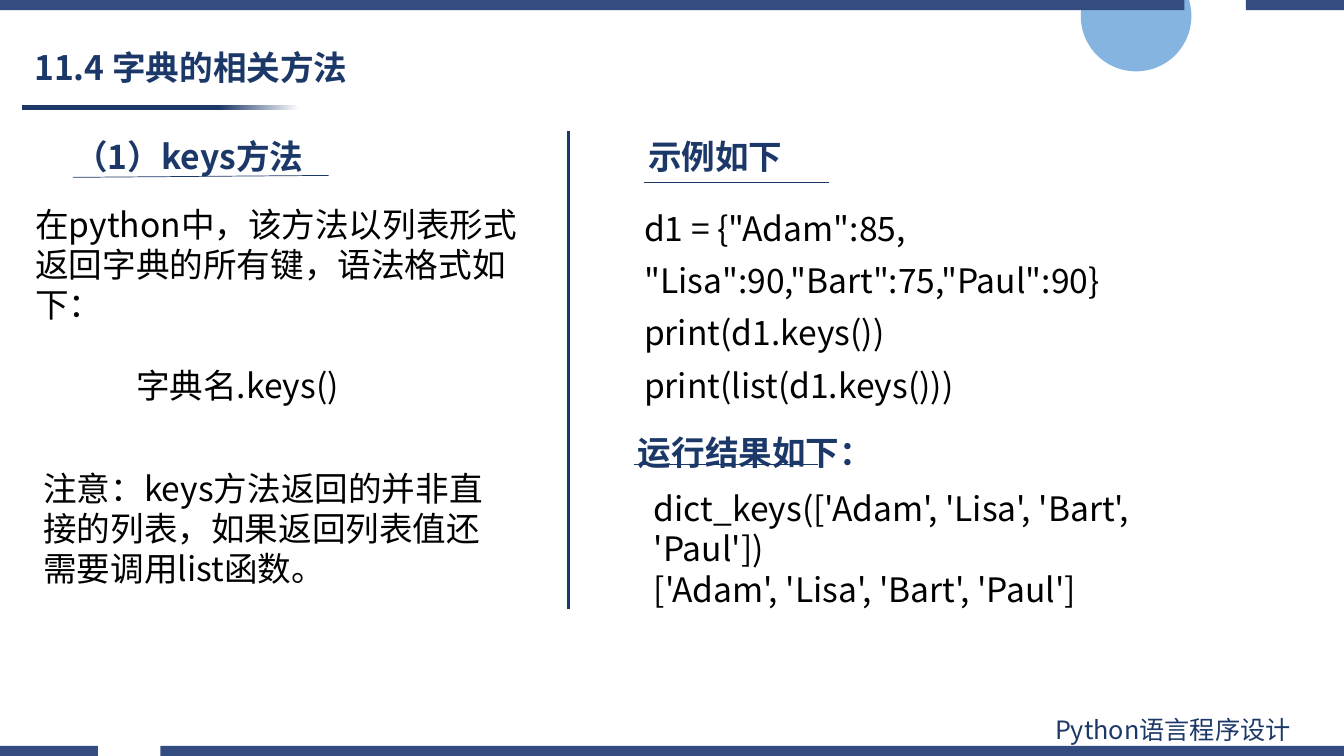
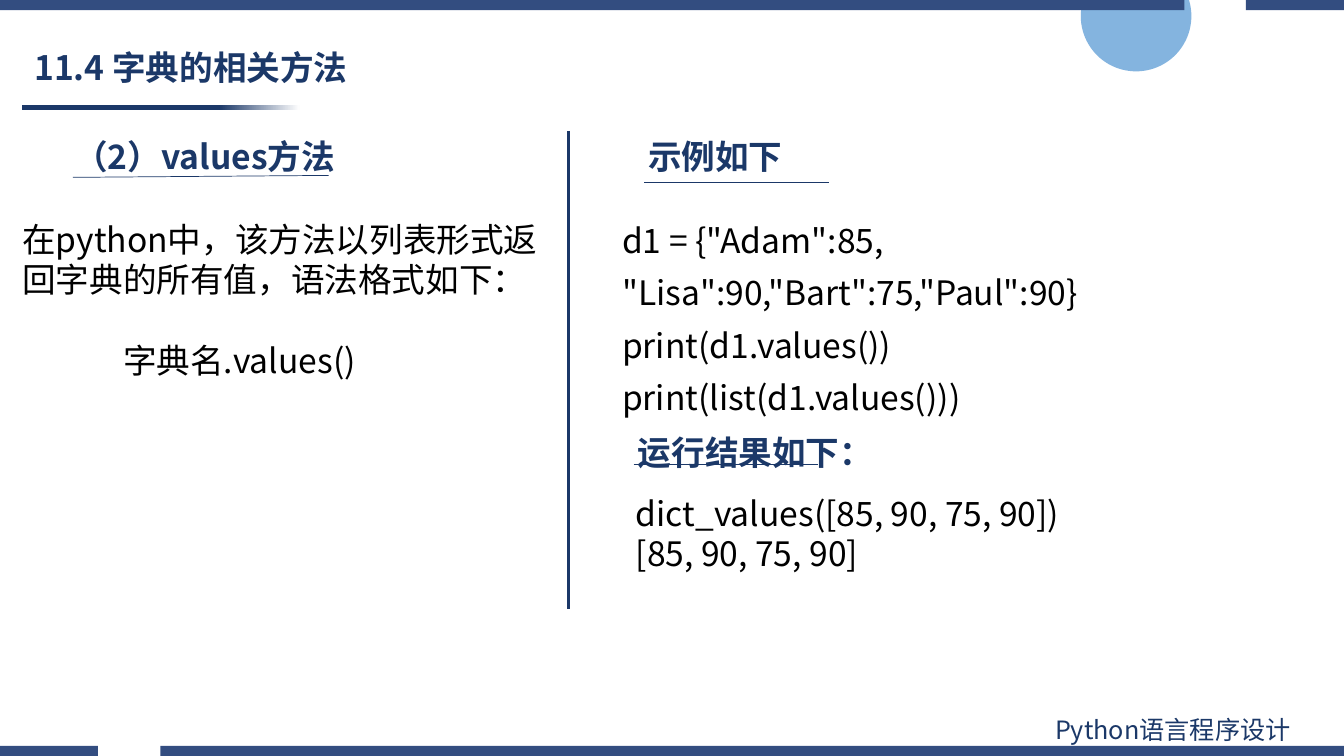
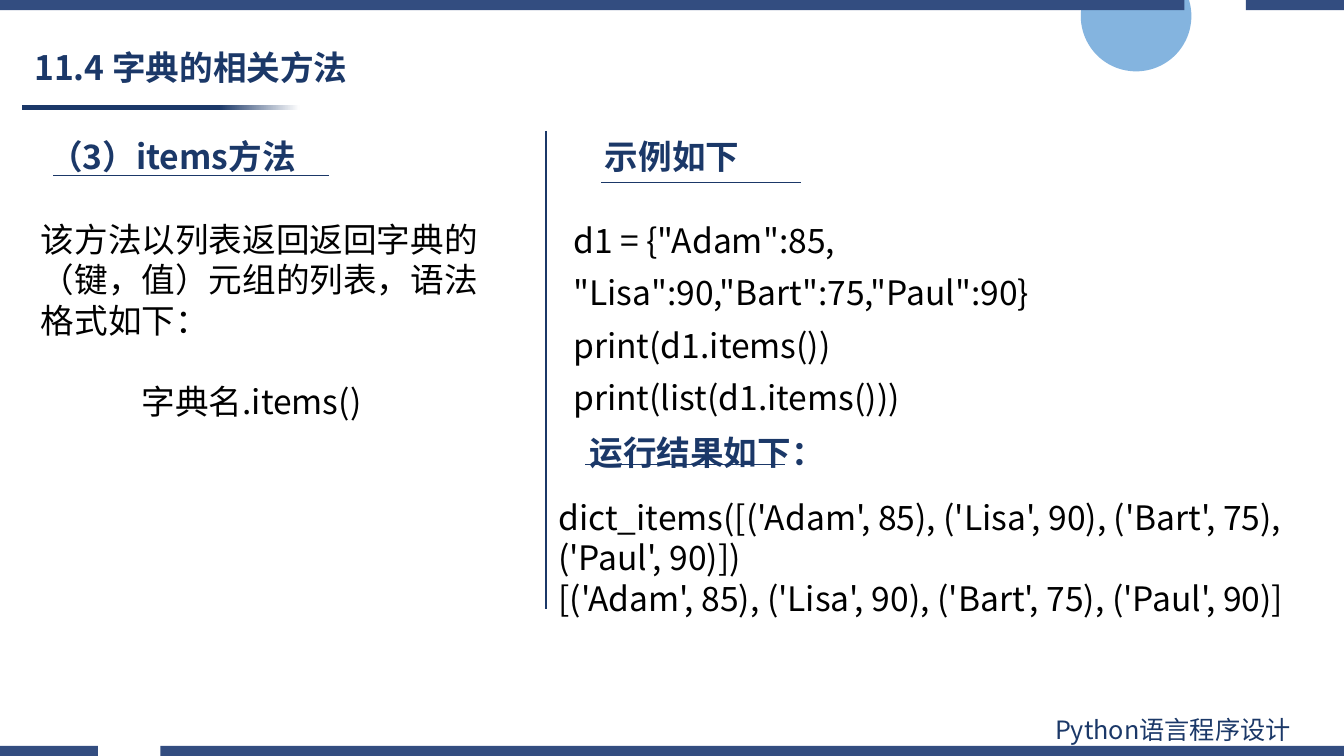
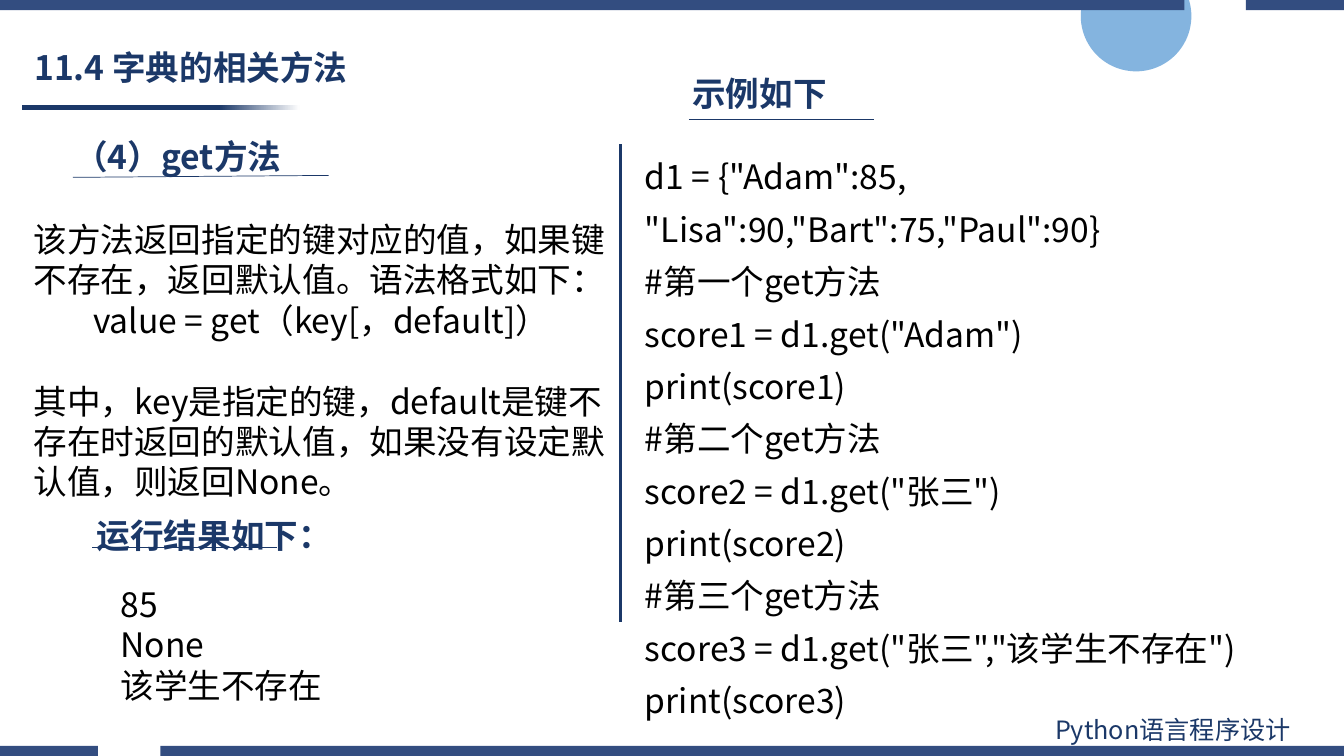
from lxml.etree import SubElement as Sub
from pptx import Presentation
from pptx.dml.color import RGBColor as Rgb
from pptx.enum.shapes import MSO_CONNECTOR as Link, MSO_SHAPE as Form
from pptx.enum.text import MSO_ANCHOR as Anchor, MSO_AUTO_SIZE as Fit, PP_ALIGN as Align
from pptx.oxml.ns import qn
from pptx.util import Pt

FONT = "Noto Sans CJK SC"
NAVY, BAND, SKY, WHITE, BLACK = "1B3868", "334D80", "5B9BD5", "FFFFFF", "000000"
WIDE, HIGH, THIN = 960, 540, 7.2
TITLE = "11.4 字典的相关方法"
DATA = 'd1 = {"Adam":85, "Lisa":90,"Bart":75,"Paul":90}'
LINE = 29
HEAD = {"size": 24, "color": NAVY, "bold": True}


def paint(fmt, color):
    fmt.solid()
    fmt.fore_color.rgb = Rgb.from_string(color)


def put(target, values):
    for name, value in values.items():
        setattr(target, name, value)


def place(shape, x, y, w, h):
    put(shape, {"left": Pt(x), "top": Pt(y), "width": Pt(w), "height": Pt(h)})


def fill(frame, items, size=24, color=BLACK, bold=False, space=1.0):
    for i, item in enumerate(items):
        text, indent, before = item if isinstance(item, tuple) else (item, 0, 0)
        para = frame.paragraphs[0] if i == 0 else frame.add_paragraph()
        put(para, {"alignment": Align.LEFT, "line_spacing": space, "space_before": Pt(before)})
        props = para._p.get_or_add_pPr()
        put_xml = {"marL": str(Pt(indent)), "indent": "0"}
        for key, value in put_xml.items():
            props.set(key, value)
        Sub(props, qn("a:buNone"))
        run = para.add_run()
        run.text = text
        put(run.font, {"size": Pt(size), "bold": bold, "name": FONT})
        run.font.color.rgb = Rgb.from_string(color)
        Sub(run._r.get_or_add_rPr(), qn("a:ea")).set("typeface", FONT)


def write(slide, items, x, y, w, h, **style):
    frame = slide.shapes.add_textbox(Pt(x), Pt(y), Pt(w), Pt(h)).text_frame
    put(frame, {"word_wrap": True, "auto_size": Fit.SHAPE_TO_FIT_TEXT})
    fill(frame, items, **style)


def rule(slide, x1, y1, x2, y2, width=0.5):
    line = slide.shapes.add_connector(Link.STRAIGHT, Pt(x1), Pt(y1), Pt(x2), Pt(y2))
    line.line.width = Pt(width)
    paint(line.line.fill, NAVY)
    Sub(line.element.spPr, qn("a:effectLst"))


def label(slide, text, x, y, w, line):
    write(slide, [text], x, y, w, 36, **HEAD)
    rule(slide, *line)


def plain(shape):
    shape.shadow.inherit = False
    shape.line.fill.background()
    return shape


def band(slide, y, left, right):
    pen = None
    for a, b in ((0, left), (right, WIDE)):
        if pen is None:
            pen = slide.shapes.build_freeform(Pt(a), Pt(y))
        else:
            pen.move_to(Pt(a), Pt(y))
        spots = ((b, y), (b, y + THIN), (a, y + THIN))
        pen.add_line_segments([(Pt(px), Pt(py)) for px, py in spots], close=True)
    paint(plain(pen.convert_to_shape()).fill, BAND)


def dress(slide, layout):
    start = len(slide.shapes)
    disc = plain(slide.shapes.add_shape(Form.OVAL, Pt(772), Pt(-28), Pt(79), Pt(79)))
    paint(disc.fill, SKY)
    tone = disc.element.spPr.find(qn("a:solidFill"))[0]
    Sub(tone, qn("a:alpha")).set("val", "75000")
    bar = plain(slide.shapes.add_shape(Form.RECTANGLE, Pt(15.5), Pt(75.2), Pt(198.5), Pt(3.6)))
    bar.fill.gradient()
    bar.fill.gradient_angle = 0
    for stop, color, spot in zip(bar.fill.gradient_stops, (NAVY, WHITE), (0.71, 1)):
        stop.color.rgb = Rgb.from_string(color)
        stop.position = spot
    band(slide, HIGH - THIN, 70, 114.5)
    band(slide, 0, 846, 890)
    write(slide, ["Python语言程序设计"], 746.5, 507, 212, 29, size=18, color=NAVY)
    for shape in list(slide.shapes)[start:]:
        layout.shapes.element.append(shape.element)


def setup(deck):
    put(deck, {"slide_width": Pt(WIDE), "slide_height": Pt(HIGH)})
    layout = deck.slide_layouts[1]
    for holder in list(layout.placeholders)[2:]:
        holder.element.getparent().remove(holder.element)
    place(layout.placeholders[0], 17.3, 29.5, 326, 40.3)
    return layout


def page(deck, layout, topic, body, code, sample, result, split):
    slide = deck.slides.add_slide(layout)
    if len(deck.slides) == 1:
        dress(slide, layout)
    head = slide.shapes.title.text_frame
    put(head, {"vertical_anchor": Anchor.MIDDLE, "auto_size": Fit.NONE})
    fill(head, [TITLE], space=0.9, **HEAD)
    holder = slide.placeholders[1]
    items, box = body
    place(holder, *box)
    put(holder.text_frame, {"vertical_anchor": Anchor.TOP, "auto_size": Fit.SHAPE_TO_FIT_TEXT})
    fill(holder.text_frame, items)

    text, x, line = topic
    label(slide, text, x, 93.5, 245, line)
    lines, box = code
    write(slide, lines, *box, space=1.3)
    x, y, span = sample
    label(slide, "示例如下", x, y, 160, (x + 4.5, y + 36.7, x + 4.5 + span, y + 36.7))
    x, y, span, lines, box = result
    label(slide, "运行结果如下：", x, y, 205, (x + 4, y + 26.7, x + 4 + span, y + 26.7))
    write(slide, lines, *box)
    x, y = split
    rule(slide, x, y, x, y + 341.3, 2)
    return slide


def call(name):
    return [DATA, f"print(d1.{name}())", f"print(list(d1.{name}()))"]


def usage(text, name):
    return [text, (f"字典名.{name}()", 72, LINE)]


def main():
    deck = Presentation()
    layout = setup(deck)
    slant = (52, 126.7, 234.7, 125.3)

    keys = page(
        deck, layout, ("（1）keys方法", 46, slant),
        (usage("在python中，该方法以列表形式返回字典的所有键，语法格式如下：", "keys"),
         (18, 141.8, 371, 152.6)),
        (call("keys"), (453, 136, 490, 121)),
        (455.8, 93.5, 132),
        (448.6, 305.3, 132,
         ["dict_keys(['Adam', 'Lisa', 'Bart', 'Paul'])", "['Adam', 'Lisa', 'Bart', 'Paul']"],
         (460, 345, 433, 65.5)),
        (406, 93.5))
    write(keys, ["注意：keys方法返回的并非直接的列表，如果返回列表值还需要调用list函数。"],
          23.8, 330.5, 348.5, 94.3)

    page(
        deck, layout, ("（2）values方法", 46, slant),
        (usage("在python中，该方法以列表形式返回字典的所有值，语法格式如下：", "values"),
         (8.7, 152.8, 384, 123.8)),
        (call("values"), (437.3, 144.8, 476.6, 121)),
        (455.8, 93.5, 132),
        (448.6, 305.3, 132, ["dict_values([85, 90, 75, 90])", "[85, 90, 75, 90]"],
         (447, 348.5, 397, 65.5)),
        (406, 93.5))

    page(
        deck, layout, ("（3）items方法", 28, (38, 125.3, 234.7, 125.3)),
        (usage("该方法以列表返回返回字典的（键，值）元组的列表，语法格式如下：", "items"),
         (22, 152.8, 347, 152.6)),
        (call("items"), (402.5, 144.8, 482.4, 121)),
        (425, 93.5, 142.5),
        (414, 305.3, 142.5,
         ["dict_items([('Adam', 85), ('Lisa', 90), ('Bart', 75), ('Paul', 90)])",
          "[('Adam', 85), ('Lisa', 90), ('Bart', 75), ('Paul', 90)]"],
         (391.7, 351.4, 533, 94.3)),
        (390, 93.5))

    tests = [("一", '"Adam"'), ("二", '"张三"'), ("三", '"张三","该学生不存在"')]
    lines = [DATA]
    for i, (count, args) in enumerate(tests, 1):
        lines += [f"#第{count}个get方法", f"score{i} = d1.get({args})", f"print(score{i})"]
    page(
        deck, layout, ("（4）get方法", 46, slant),
        (["该方法返回指定的键对应的值，如果键不存在，返回默认值。语法格式如下：",
          ("value = get（key[，default]）", 42.5, 0),
          ("其中，key是指定的键，default是键不存在时返回的默认值，如果没有设定默认值，则返回None。",
           0, LINE)],
         (16.8, 152.8, 426.2, 211)),
        (lines, (453.6, 99.5, 506.4, 385)),
        (487.5, 48.3, 132),
        (62, 364.3, 132, ["85", "None", "该学生不存在"], (79, 413.5, 179, 94.3)),
        (443, 103))

    deck.save("out.pptx")


if __name__ == "__main__":
    main()
